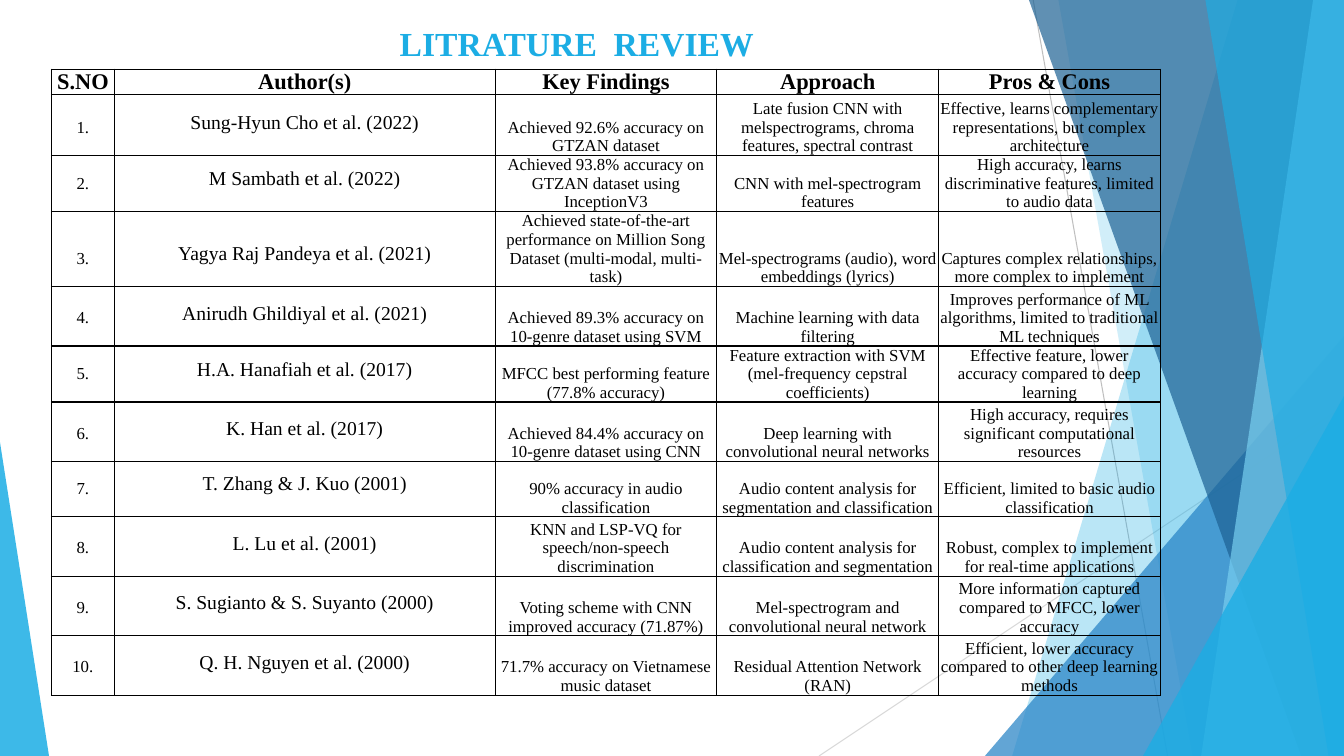
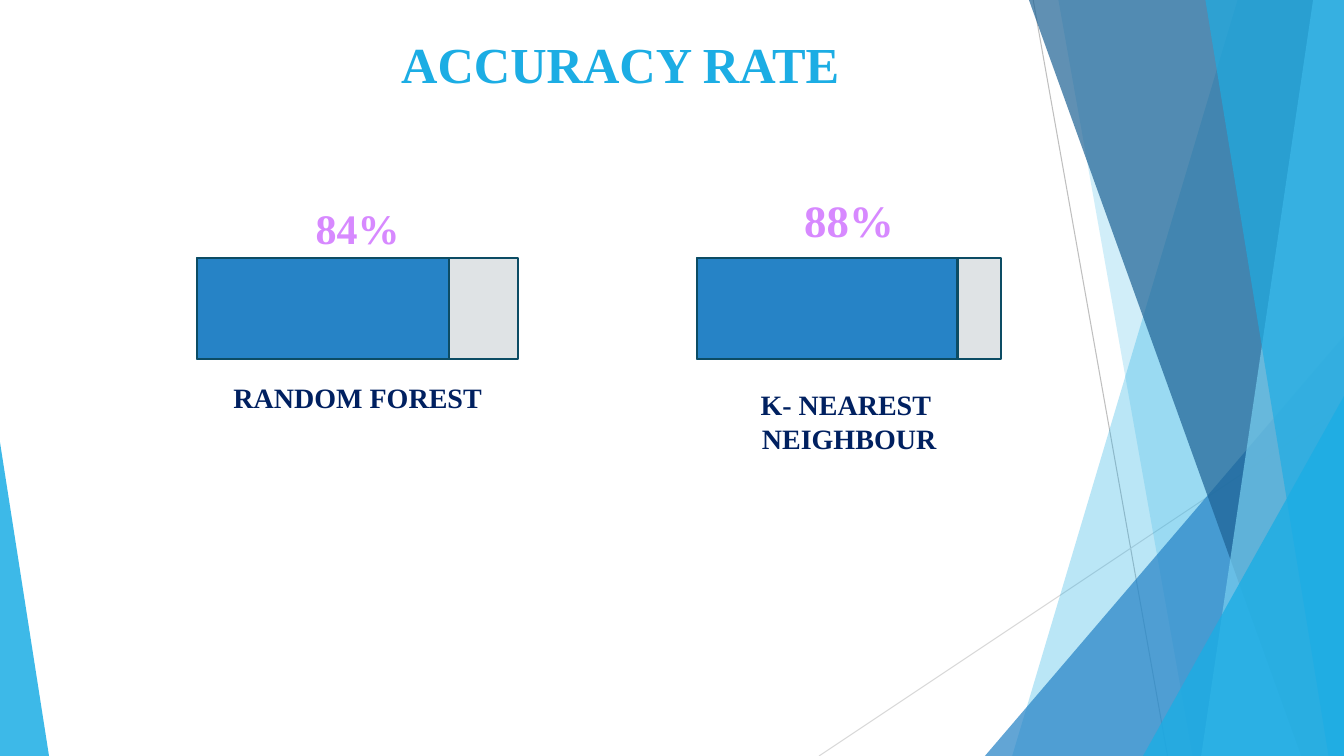
from dataclasses import dataclass

from pptx import Presentation
from pptx.dml.color import RGBColor
from pptx.enum.shapes import MSO_CONNECTOR, MSO_SHAPE
from pptx.enum.text import MSO_ANCHOR, PP_ALIGN
from pptx.oxml.ns import qn
from pptx.util import Pt
from lxml import etree

BOX = MSO_SHAPE.RECTANGLE
WEDGE = MSO_SHAPE.ISOSCELES_TRIANGLE
LINE = MSO_CONNECTOR.STRAIGHT
TOP, MID, BASE = MSO_ANCHOR.TOP, MSO_ANCHOR.MIDDLE, MSO_ANCHOR.BOTTOM
CENTER = PP_ALIGN.CENTER


@dataclass(frozen=True)
class Theme:
    font: str = "Times New Roman"
    # Colours
    sky: str = "1CADE4"
    pale: str = "77CEEF"
    blue: str = "2683C6"
    deep: str = "1D6294"
    edge: str = "0C4C64"
    track: str = "DFE3E5"
    navy: str = "002060"
    lilac: str = "D789FF"
    black: str = "000000"
    rays: tuple = ("BFBFBF", "D9D9D9")
    # Type sizes
    head: int = 16
    name: int = 14
    cell: int = 12
    label: int = 20


class Deck:
    wide, high = 960, 540

    def __init__(self, theme):
        self.theme = theme
        self.prs = Presentation()
        self.prs.slide_width = Pt(self.wide)
        self.prs.slide_height = Pt(self.high)
        self.blank = self.prs.slide_layouts[6]
        self.slide = None

    def page(self):
        self.slide = self.prs.slides.add_slide(self.blank)

    def share(self):
        """Move the shapes of the current slide to the layout."""
        tree = self.blank.shapes.element
        for holder in list(self.blank.placeholders):
            tree.remove(holder.element)
        for shape in list(self.slide.shapes):
            tree.append(shape.element)

    # Shapes
    def paint(self, shape, fill, alpha=None, edge=None):
        shape.shadow.inherit = False
        shape.fill.solid()
        shape.fill.fore_color.rgb = RGBColor.from_string(fill)
        if alpha:
            tint = next(shape.element.iter(qn("a:srgbClr")))
            etree.SubElement(tint, qn("a:alpha"), val=str(alpha * 1000))
        if edge:
            shape.line.color.rgb = RGBColor.from_string(edge)
            shape.line.width = Pt(1.5)
        else:
            shape.line.fill.background()

    def ray(self, start, end, color):
        line = self.slide.shapes.add_connector(
            LINE, *(Pt(n) for n in (*start, *end)))
        line.line.color.rgb = RGBColor.from_string(color)
        line.line.width = Pt(0.75)
        etree.SubElement(line.element.spPr, qn("a:effectLst"))

    def facet(self, top, base, color, alpha):
        """Band from a slanted left side to the right slide edge."""
        form = self.slide.shapes.build_freeform(Pt(top), 0)
        spots = ((self.wide, 0), (self.wide, self.high), (base, self.high))
        form.add_line_segments([(Pt(x), Pt(y)) for x, y in spots])
        self.paint(form.convert_to_shape(), color, alpha)

    def wedge(self, left, top, width, peak, color, alpha):
        """Triangle that stands on the bottom slide edge."""
        shape = self.slide.shapes.add_shape(
            WEDGE, Pt(left), Pt(top), Pt(width), Pt(self.high - top))
        shape.adjustments[0] = peak
        self.paint(shape, color, alpha)

    def gauge(self, left, top, full, part, high):
        look = self.theme
        for width, fill in ((full, look.track), (part, look.blue)):
            bar = self.slide.shapes.add_shape(
                BOX, Pt(left), Pt(top), Pt(width), Pt(high))
            self.paint(bar, fill, edge=look.edge)

    # Text
    def run(self, par, text, size, color, bold=True):
        par.alignment = CENTER
        run = par.add_run()
        run.text = text
        font = run.font
        font.name, font.size, font.bold = self.theme.font, Pt(size), bold
        font.color.rgb = RGBColor.from_string(color)

    def text(self, at, lines, anchor=TOP):
        """Each line holds text, size, colour and the gap above it."""
        frame = self.slide.shapes.add_textbox(*(Pt(n) for n in at)).text_frame
        frame.word_wrap = True
        frame.vertical_anchor = anchor
        for i, (words, size, color, gap) in enumerate(lines):
            par = frame.add_paragraph() if i else frame.paragraphs[0]
            par.space_before = Pt(gap)
            self.run(par, words, size, color)

    def title(self, at, words, size, anchor=TOP):
        self.text(at, [(words, size, self.theme.sky, 0)], anchor)

    # Table
    def border(self, cell):
        props = cell._tc.get_or_add_tcPr()
        for side in ("lnL", "lnR", "lnT", "lnB"):
            line = etree.SubElement(props, qn("a:" + side), w=str(Pt(1)))
            fill = etree.SubElement(line, qn("a:solidFill"))
            etree.SubElement(fill, qn("a:srgbClr"), val=self.theme.black)

    def grid(self, left, top, cols, highs, rows, sizes, lifts):
        frame = self.slide.shapes.add_table(
            len(rows), len(cols), Pt(left), Pt(top),
            Pt(sum(cols)), Pt(sum(highs)))
        table = frame.table
        table.first_row = table.horz_banding = False
        for col, width in zip(table.columns, cols):
            col.width = Pt(width)
        for r, (row, high) in enumerate(zip(rows, highs)):
            table.rows[r].height = Pt(high)
            for c, words in enumerate(row):
                cell = table.cell(r, c)
                self.border(cell)
                cell.fill.background()
                cell.vertical_anchor = BASE
                cell.margin_left = cell.margin_right = cell.margin_top = 0
                cell.margin_bottom = Pt(lifts[c] if r else 0)
                size = sizes[c] if r else self.theme.head
                self.run(cell.text_frame.paragraphs[0], words, size,
                         self.theme.black, bold=r == 0)


HEADS = ("S.NO", "Author(s)", "Key Findings", "Approach", "Pros & Cons")
WORKS = [
    ("Sung-Hyun Cho et al. (2022)",
     "Achieved 92.6% accuracy on GTZAN dataset",
     "Late fusion CNN with melspectrograms, chroma features, spectral contrast",
     "Effective, learns complementary representations, but complex architecture"),
    ("M Sambath et al. (2022)",
     "Achieved 93.8% accuracy on GTZAN dataset using InceptionV3",
     "CNN with mel-spectrogram features",
     "High accuracy, learns discriminative features, limited to audio data"),
    ("Yagya Raj Pandeya et al. (2021)",
     "Achieved state-of-the-art performance on Million Song Dataset "
     "(multi-modal, multi-task)",
     "Mel-spectrograms (audio), word embeddings (lyrics)",
     "Captures complex relationships, more complex to implement"),
    ("Anirudh Ghildiyal et al. (2021)",
     "Achieved 89.3% accuracy on 10-genre dataset using SVM",
     "Machine learning with data filtering",
     "Improves performance of ML algorithms, limited to traditional "
     "ML techniques"),
    ("H.A. Hanafiah et al. (2017)",
     "MFCC best performing feature (77.8% accuracy)",
     "Feature extraction with SVM (mel-frequency cepstral coefficients)",
     "Effective feature, lower accuracy compared to deep learning"),
    ("K. Han et al. (2017)",
     "Achieved 84.4% accuracy on 10-genre dataset using CNN",
     "Deep learning with convolutional neural networks",
     "High accuracy, requires significant computational resources"),
    ("T. Zhang & J. Kuo (2001)",
     "90% accuracy in audio classification",
     "Audio content analysis for segmentation and classification",
     "Efficient, limited to basic audio classification"),
    ("L. Lu et al. (2001)",
     "KNN and LSP-VQ for speech/non-speech discrimination",
     "Audio content analysis for classification and segmentation",
     "Robust, complex to implement for real-time applications"),
    ("S. Sugianto & S. Suyanto (2000)",
     "Voting scheme with CNN improved accuracy (71.87%)",
     "Mel-spectrogram and convolutional neural network",
     "More information captured compared to MFCC, lower accuracy"),
    ("Q. H. Nguyen et al. (2000)",
     "71.7% accuracy on Vietnamese music dataset",
     "Residual Attention Network (RAN)",
     "Efficient, lower accuracy compared to other deep learning methods"),
]


def backdrop(deck):
    look = deck.theme
    deck.ray((738, 0), (834, 540), look.rays[0])
    deck.ray((960, 290), (585, 540), look.rays[1])
    deck.facet(884, 723, look.sky, 30)
    deck.facet(756, 852, look.sky, 20)
    deck.wedge(703.5, 240, 256.5, 1, look.blue, 72)
    deck.facet(735, 929.5, look.deep, 70)
    deck.facet(938, 858, look.pale, 70)
    deck.facet(861, 949, look.sky, 65)
    deck.wedge(816.5, 283, 143.5, 1, look.sky, 80)
    deck.wedge(0, 316, 35, 0, look.sky, 85)
    deck.share()


def review(deck):
    look = deck.theme
    cols = (45, 272) + (158.4,) * 3
    highs = (18.2, 43.5, 40, 53.5, 42.5, 40, 42.5, 39.5) + (42.5,) * 3
    rows = [HEADS] + [(f"{i}.", *work) for i, work in enumerate(WORKS, 1)]
    sizes = (look.cell, look.name) + (look.cell,) * 3
    deck.grid(36.7, 49.5, cols, highs, rows, sizes, (13.3, 15.5, 0, 0, 0))
    deck.title((179, 13, 466, 36), "LITRATURE  REVIEW", 24)


def rates(deck):
    look = deck.theme
    deck.title((104.5, 17.5, 677, 55.5), "ACCURACY RATE", 36, MID)
    # Bar left, full and filled width; text left, top, height; rate; label
    gauges = [
        (141, 229, 180, 15, 141, 177, "84%", 30, 91, ["RANDOM FOREST"]),
        (498, 217, 186, 366, 134, 191, "88%", 32, 101,
         ["K- NEAREST ", "NEIGHBOUR"]),
    ]
    for bar, full, part, left, top, high, rate, size, gap, label in gauges:
        deck.gauge(bar, 184.3, full, part, 72)
        lines = [(rate, size, look.lilac, 0)]
        for i, words in enumerate(label):
            lines.append((words, look.label, look.navy, 0 if i else gap))
        deck.text((left, top, 481, high), lines)


def main():
    deck = Deck(Theme())
    deck.page()
    backdrop(deck)
    review(deck)
    deck.page()
    rates(deck)
    deck.prs.save("out.pptx")


if __name__ == "__main__":
    main()
